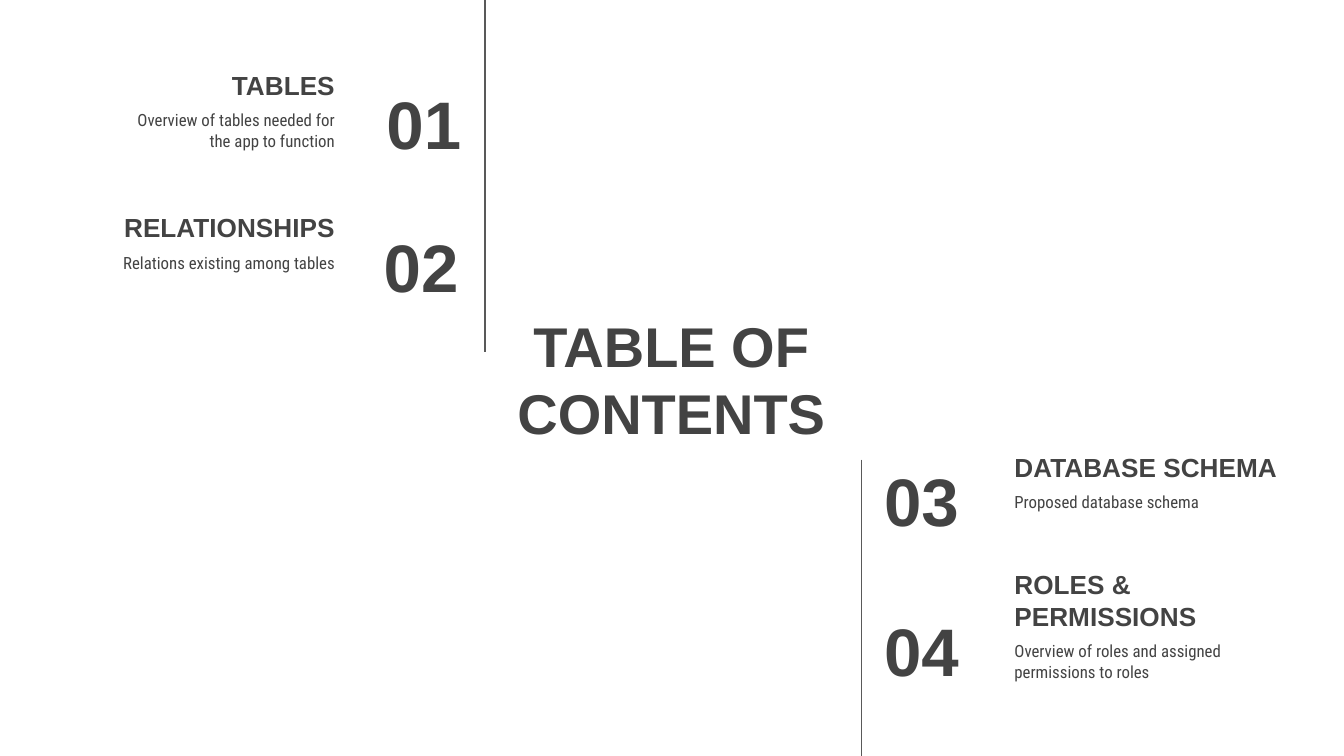
import pptx
import pptx.dml.color
import pptx.enum.shapes
import pptx.enum.text
import pptx.oxml
import pptx.util
from pptx.util import Inches

COLORS = {"text": "434343", "line": "595959", "background": "FFFFFF"}
ALIGN = pptx.enum.text.PP_ALIGN
ANCHOR = pptx.enum.text.MSO_ANCHOR

# Number, number left and top, heading, description, text top
LEFT_ENTRIES = [
    ("01", 2.32, 0.6, "TABLES", "Overview of tables needed for the app to function", 0.22),
    ("02", 2.3, 1.66, "RELATIONSHIPS", "Relations existing among tables", 1.28),
]
RIGHT_ENTRIES = [
    ("03", 6.48, 3.4, "DATABASE SCHEMA", "Proposed database schema", 3.06),
    ("04", 6.48, 4.52, "ROLES & PERMISSIONS",
     "Overview of roles and assigned permissions to roles", 4.17),
]
SLIDE_WIDTH = 10
SLIDE_HEIGHT = SLIDE_WIDTH * 9 / 16
ROW_HEIGHT = 0.63
HEADING_WIDTH = 2.16
DESCRIPTION_WIDTH = 1.83


def rgb(name):
    return pptx.dml.color.RGBColor.from_string(COLORS[name])


def write_text(shape, text, size, font="Arial", bold=True, align=ALIGN.LEFT,
               anchor=ANCHOR.MIDDLE):
    frame = shape.text_frame
    frame.word_wrap = True
    frame.auto_size = pptx.enum.text.MSO_AUTO_SIZE.NONE
    frame.vertical_anchor = anchor
    frame.margin_left = frame.margin_right = Inches(0.1)
    frame.margin_top = frame.margin_bottom = Inches(0.1)
    paragraph = frame.paragraphs[0]
    paragraph.alignment = align
    paragraph.line_spacing = 1.0
    paragraph.space_before = pptx.util.Pt(0)
    run = paragraph.add_run()
    run.text = text
    run.font.size = pptx.util.Pt(size)
    run.font.name = font
    run.font.bold = bold
    run.font.color.rgb = rgb("text")


def add_text(slide, left, top, width, text, size, **text_format):
    shape = slide.shapes.add_textbox(
        Inches(left), Inches(top), Inches(width), Inches(ROW_HEIGHT))
    write_text(shape, text, size, **text_format)


def add_title(slide, text):
    title = slide.shapes.title
    title.left, title.top = Inches(3.7), Inches(2.3)
    title.width, title.height = Inches(2.59), Inches(1.03)
    write_text(title, text, 30, align=ALIGN.CENTER)


def add_vertical_line(slide, x, top, bottom):
    line = slide.shapes.add_connector(
        pptx.enum.shapes.MSO_CONNECTOR.STRAIGHT,
        Inches(x), Inches(top), Inches(x), Inches(bottom))
    line.line.color.rgb = rgb("line")
    line.line.width = pptx.util.Pt(0.75)
    line._element.spPr.append(pptx.oxml.parse_xml(
        '<a:effectLst xmlns:a="http://schemas.openxmlformats.org/drawingml/2006/main"/>'))


def add_entry(slide, entry, number_width, text_edge, align):
    number, number_left, number_top, heading, description, top = entry
    add_text(slide, number_left, number_top, number_width, number, 36, align=align)

    # Text columns share the edge that faces the number
    shift = 1 if align == ALIGN.RIGHT else 0
    add_text(slide, text_edge - shift * HEADING_WIDTH, top, HEADING_WIDTH,
             heading, 14, align=align, anchor=ANCHOR.BOTTOM)
    add_text(slide, text_edge - shift * DESCRIPTION_WIDTH, top + 0.5,
             DESCRIPTION_WIDTH, description, 9, font="Roboto Condensed",
             bold=False, align=align, anchor=ANCHOR.TOP)


def main():
    presentation = pptx.Presentation()
    presentation.slide_width = Inches(SLIDE_WIDTH)
    presentation.slide_height = Inches(SLIDE_HEIGHT)
    slide = presentation.slides.add_slide(presentation.slide_layouts[5])
    slide.background.fill.solid()
    slide.background.fill.fore_color.rgb = rgb("background")

    # Title and dividers
    add_title(slide, "TABLE OF CONTENTS")
    add_vertical_line(slide, 3.61, 0, 2.62)
    add_vertical_line(slide, 6.41, 3.42, 5.64)

    # Contents on either side
    for entry in LEFT_ENTRIES:
        add_entry(slide, entry, 1.21, 2.59, ALIGN.RIGHT)
    for entry in RIGHT_ENTRIES:
        add_entry(slide, entry, 1.17, 7.45, ALIGN.LEFT)

    presentation.save("out.pptx")


if __name__ == "__main__":
    main()
